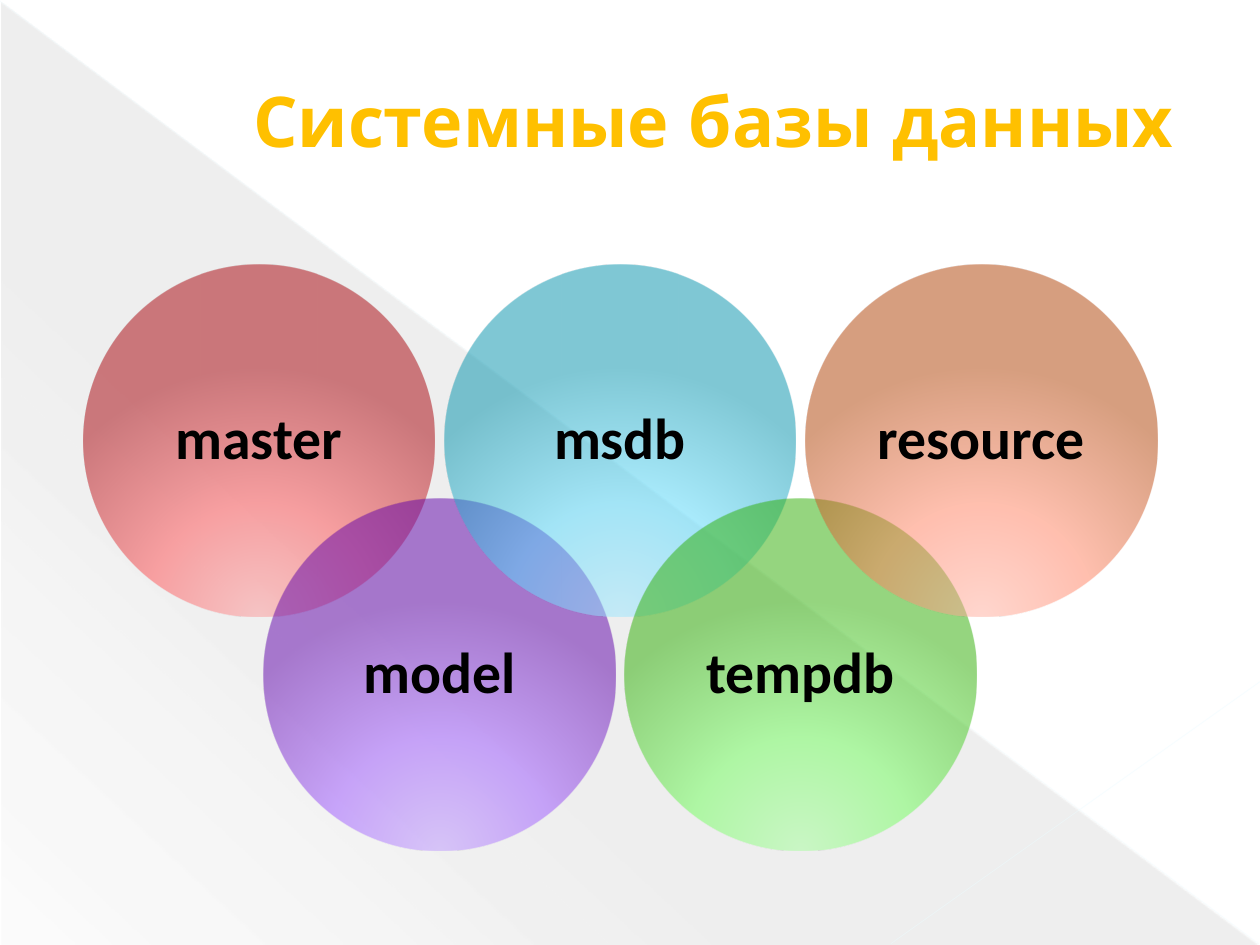
from lxml import etree
from pptx import Presentation
from pptx.dml.color import RGBColor
from pptx.enum.shapes import MSO_CONNECTOR, MSO_SHAPE
from pptx.enum.text import MSO_ANCHOR, PP_ALIGN
from pptx.oxml import parse_xml
from pptx.oxml.ns import nsdecls, qn
from pptx.util import Inches, Pt

OVAL, TRIANGLE = MSO_SHAPE.OVAL, MSO_SHAPE.RIGHT_TRIANGLE
STRAIGHT = MSO_CONNECTOR.STRAIGHT
CENTER, MIDDLE = PP_ALIGN.CENTER, MSO_ANCHOR.MIDDLE

# Content
TITLE = "Системные базы данных"
DATABASES = [  # name, gradient from the bright foot to the dark top
    ("master", ("FC9A9B", "FF4F52", "A70008")),
    ("model", ("BE9AFF", "9C54FF", "5D00A9")),
    ("msdb", ("9DE7FF", "58DCFF", "0092AC")),
    ("tempdb", ("A7FF9E", "6FFF5A", "2BAE00")),
    ("resource", ("FFB0A0", "FF7F5D", "B03E00")),
]
TRIANGLE_STOPS = [(0, "464646", 10), (70, "464646", 8), (100, "464646", 1)]
BACK_LINES = [  # from, to, colour, width, opacity
    ((0, 0.01), (9.99, 7.49), "EBFBFF", 0.39, 35),
    ((10, 5.41), (7.07, 7.49), "EDFCFF", 0.47, 45),
]
TITLE_FONT = {"name": "Quicksand", "size": Pt(40), "bold": True}
LABEL_FONT = {"name": "Calibri", "size": Pt(33), "bold": True}

# Circle layout: alternating rows, equal steps
DIAMETER, LEFT, STEP = 2.79, 0.66, 1.433
ROW_TOPS = (2.1, 3.96)
INSET = 0.14

LINEAR = '<a:lin ang="7980000" scaled="0"/>'
RADIAL = ('<a:path path="circle"><a:fillToRect l="50000" t="155000" '
          'r="50000" b="-55000"/></a:path>')


def rgb(value):
    return RGBColor.from_string(value)


def set_gradient(shape, stops, direction):
    marks = "".join(
        f'<a:gs pos="{place * 1000}"><a:srgbClr val="{color}">'
        f'<a:alpha val="{opacity * 1000}"/></a:srgbClr></a:gs>'
        for place, color, opacity in stops)
    gradient = parse_xml(
        f'<a:gradFill {nsdecls("a")} rotWithShape="1"><a:gsLst>{marks}</a:gsLst>'
        f'{direction}</a:gradFill>')
    shape.fill.background()
    properties = shape.element.spPr
    properties.replace(properties.find(qn("a:noFill")), gradient)


def add_gradient_shape(kind, left, top, width, height, stops, direction):
    shape = slide.shapes.add_shape(
        kind, Inches(left), Inches(top), Inches(width), Inches(height))
    shape.shadow.inherit = False
    shape.line.fill.background()
    set_gradient(shape, stops, direction)
    return shape


def write(frame, text, font, color):
    frame.vertical_anchor = MIDDLE
    para = frame.paragraphs[0]
    para.alignment = CENTER
    span = para.add_run()
    span.text = text
    for key, value in font.items():
        setattr(span.font, key, value)
    span.font.color.rgb = rgb(color)
    return para, span


deck = Presentation()
deck.slide_width, deck.slide_height = Inches(10), Inches(7.5)
slide = deck.slides.add_slide(deck.slide_layouts[5])

# Background triangle and diagonal lines
add_gradient_shape(TRIANGLE, 0.01, 0.02, 9.98, 7.48, TRIANGLE_STOPS, LINEAR)
for start, end, color, width, opacity in BACK_LINES:
    line = slide.shapes.add_connector(
        STRAIGHT, *(Inches(value) for value in start + end))
    line.line.color.rgb = rgb(color)
    line.line.width = Pt(width)
    properties = line.element.spPr
    alpha = etree.SubElement(next(properties.iter(qn("a:srgbClr"))), qn("a:alpha"))
    alpha.set("val", str(opacity * 1000))
    etree.SubElement(properties, qn("a:effectLst"))

# Title, in front of the background
title = slide.shapes.title
title.left, title.top = Inches(1.22), Inches(0.18)
title.width, title.height = Inches(8.35), Inches(1.53)
para, span = write(title.text_frame, TITLE, TITLE_FONT, "FFC000")
indent = para._p.get_or_add_pPr()
indent.set("marL", str(Inches(0.53)))
indent.set("indent", "0")
span._r.get_or_add_rPr().insert(0, parse_xml(
    f'<a:ln {nsdecls("a")} w="{Pt(0.5)}"><a:solidFill><a:srgbClr val="353535"/>'
    '</a:solidFill></a:ln>'))
slide.shapes._spTree.append(title.element)

# Overlapping circles
for index, (name, colors) in enumerate(DATABASES):
    stops = [(place, color, 50) for place, color in zip((0, 46, 100), colors)]
    circle = add_gradient_shape(
        OVAL, LEFT + index * STEP, ROW_TOPS[index % 2], DIAMETER, DIAMETER,
        stops, RADIAL)
    frame = circle.text_frame
    frame.word_wrap = True
    for side in ("left", "top", "right", "bottom"):
        setattr(frame, f"margin_{side}", Inches(INSET))
    para, span = write(frame, name, LABEL_FONT, "000000")
    para.line_spacing = 0.9

deck.save("out.pptx")
